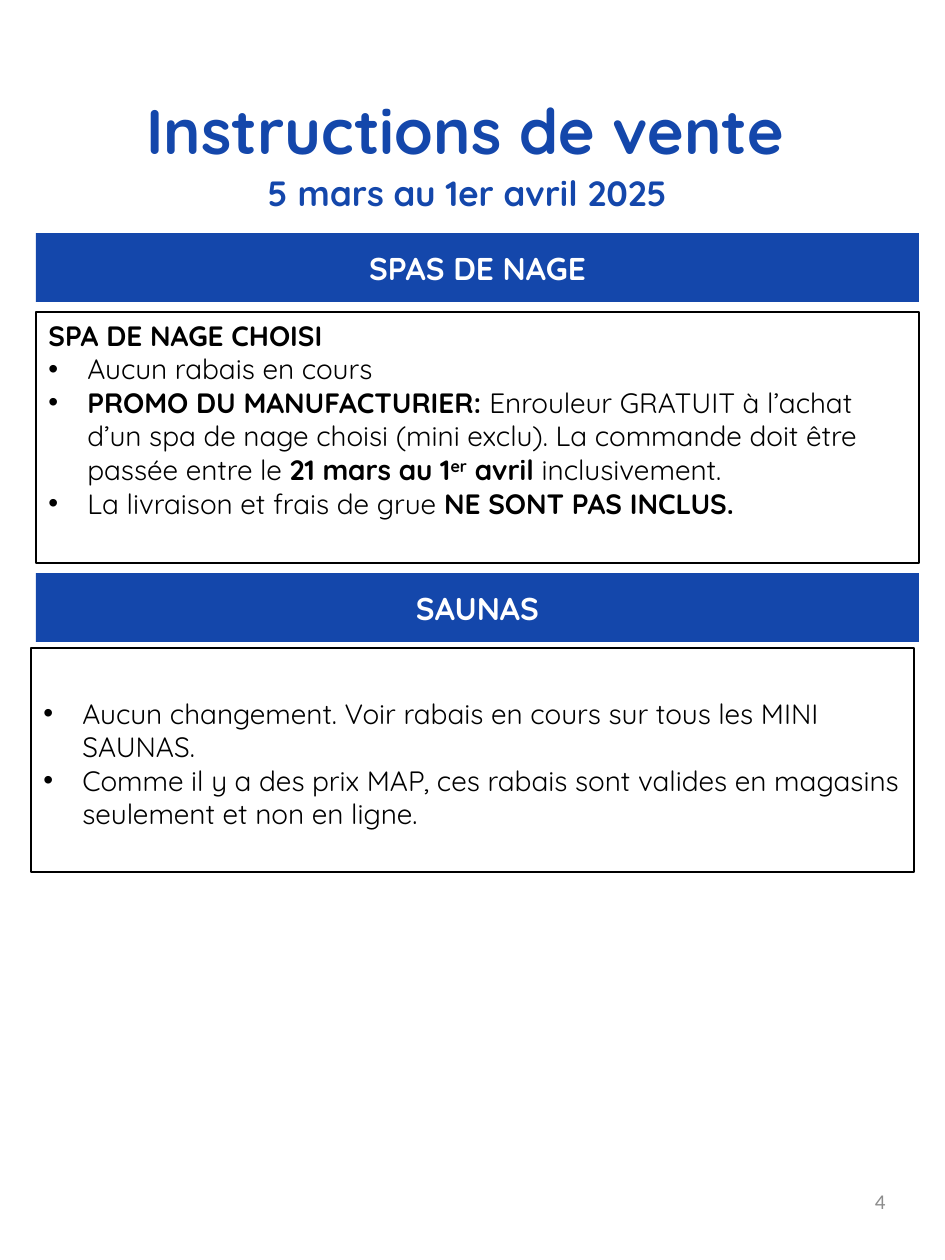
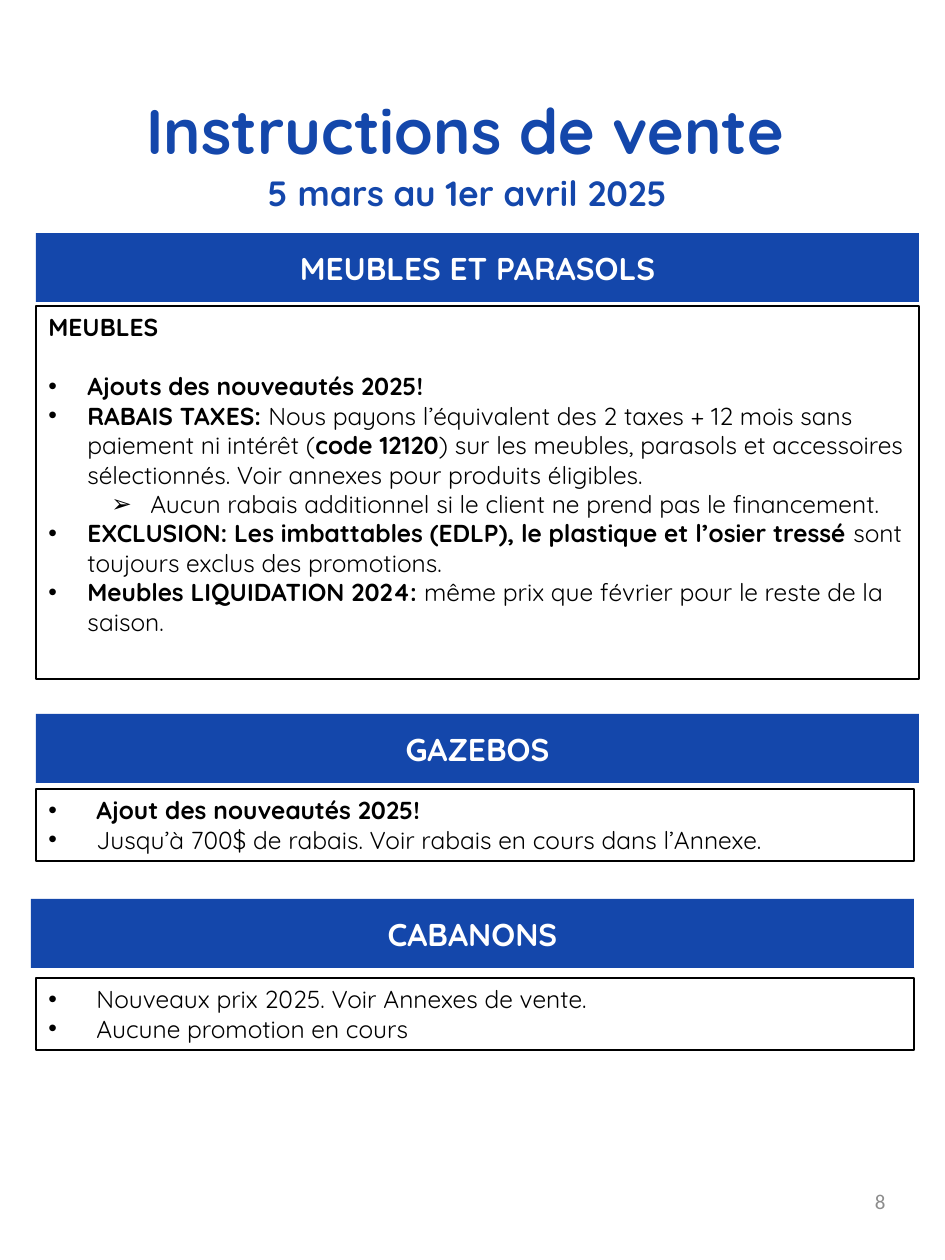
from lxml.etree import SubElement
from pptx import Presentation
from pptx.dml.color import RGBColor
from pptx.enum.shapes import MSO_SHAPE as Shape
from pptx.enum.text import MSO_ANCHOR as Anchor, PP_ALIGN as Align
from pptx.oxml.ns import qn
from pptx.util import Pt

PX = 914400 // 126  # EMU per px
BLUE = RGBColor(0x14, 0x47, 0xAB)
WHITE = RGBColor(0xFF, 0xFF, 0xFF)
BLACK = RGBColor(0, 0, 0)
GRAY = RGBColor(0x8C, 0x8C, 0x8C)
FONT, NUMBER_FONT, BULLET_FONT = "Quicksand", "Calibri", "Arial"

TITLE = "Instructions de vente"
PERIOD = "5 mars au 1er avril 2025"
WIDTH, BAND_HEIGHT = 883, 69
PLAIN, BOLD, SUPER = "plain", "bold", "super"

# Paragraph kinds: bullet, left margin, hanging indent (px), level
KINDS = {
    "head": (None, 0, 0, 0),
    "item": ("•", 39, 39, 0),
    "wide": ("•", 48, 48, 0),
    "sub": ("➢", 102, 39, 1),
}

# Each section: band (left, top), box (left, top, width, height), text size,
# and paragraphs as (kind, runs); "inset" pushes the text down in its box,
# "gap" is the space after a heading in points
SLIDES = [
    {"number": "4", "sections": [
        {"name": "SPAS DE NAGE", "band": (36, 233), "box": (36, 312, WIDTH, 251),
         "size": 16, "text": [
             ("head", [("SPA DE NAGE CHOISI", BOLD)]),
             ("item", [("Aucun rabais en cours", PLAIN)]),
             ("item", [("PROMO DU MANUFACTURIER: ", BOLD),
                       ("Enrouleur GRATUIT à l’achat d’un spa de nage choisi (mini exclu). "
                        "La commande doit être passée entre le ", PLAIN),
                       ("21 mars au 1", BOLD), ("er", SUPER), (" avril ", BOLD),
                       ("inclusivement.", PLAIN)]),
             ("item", [("La livraison et frais de grue ", PLAIN),
                       ("NE SONT PAS INCLUS.", BOLD)]),
         ]},
        {"name": "SAUNAS", "band": (36, 573), "box": (31, 648, WIDTH, 224),
         "size": 16, "inset": 48, "text": [
             ("item", [("Aucun changement. Voir rabais en cours sur tous les MINI SAUNAS.", PLAIN)]),
             ("item", [("Comme il y a des prix MAP, ces rabais sont valides en magasins "
                        "seulement et non en ligne.", PLAIN)]),
         ]},
    ]},
    {"number": "8", "sections": [
        {"name": "MEUBLES ET PARASOLS", "band": (36, 233), "box": (36, 306, WIDTH, 373),
         "size": 14, "gap": 17, "text": [
             ("head", [("MEUBLES", BOLD)]),
             ("item", [("Ajouts des nouveautés 2025!", BOLD)]),
             ("item", [("RABAIS TAXES: ", BOLD),
                       ("Nous payons l’équivalent des 2 taxes + 12 mois sans paiement "
                        "ni intérêt (", PLAIN),
                       ("code 12120", BOLD),
                       (") sur les meubles, parasols et accessoires sélectionnés. "
                        "Voir annexes pour produits éligibles.", PLAIN)]),
             ("sub", [("Aucun rabais additionnel si le client ne prend pas le "
                       "financement.", PLAIN)]),
             ("item", [("EXCLUSION: Les imbattables (EDLP), le plastique et l’osier tressé ", BOLD),
                       ("sont toujours exclus des promotions.", PLAIN)]),
             ("item", [("Meubles LIQUIDATION 2024: ", BOLD),
                       ("même prix que février pour le reste de la saison.", PLAIN)]),
         ]},
        {"name": "GAZEBOS", "band": (36, 714), "box": (36, 789, 878, 72),
         "size": 14, "text": [
             ("wide", [("Ajout des nouveautés 2025!", BOLD)]),
             ("wide", [("Jusqu’à 700$ de rabais. Voir rabais en cours dans l’Annexe.", PLAIN)]),
         ]},
        {"name": "CABANONS", "band": (31, 899), "box": (36, 978, 878, 72),
         "size": 14, "text": [
             ("wide", [("Nouveaux prix 2025. Voir Annexes de vente.", PLAIN)]),
             ("wide", [("Aucune promotion en cours", PLAIN)]),
         ]},
    ]},
]


def emu(*lengths):
    return [length * PX for length in lengths]


def add_run(paragraph, text, size, color, style=BOLD, font=FONT):
    run = paragraph.add_run()
    run.text = text
    run.font.name, run.font.size = font, Pt(size)
    run.font.bold = style != PLAIN
    run.font.color.rgb = color
    if style == SUPER:
        run.font._element.set("baseline", "30000")


def add_rectangle(slide, bounds, fill=None, line=None):
    shape = slide.shapes.add_shape(Shape.RECTANGLE, *emu(*bounds))
    shape.shadow.inherit = False
    if fill is None:
        shape.fill.background()
    else:
        shape.fill.solid()
        shape.fill.fore_color.rgb = fill
    if line is None:
        shape.line.fill.background()
    else:
        shape.line.color.rgb = line
        shape.line.width = Pt(0.75)
    shape.text_frame.word_wrap = True
    return shape


def add_label(slide, bounds, text, size, color):
    """Add a text box and return its frame and only paragraph."""
    frame = slide.shapes.add_textbox(*emu(*bounds)).text_frame
    frame.word_wrap = True
    paragraph = frame.paragraphs[0]
    font, style = (NUMBER_FONT, PLAIN) if color == GRAY else (FONT, BOLD)
    add_run(paragraph, text, size, color, style, font)
    return frame, paragraph


def format_paragraph(paragraph, kind):
    bullet, margin, hanging, level = KINDS[kind]
    paragraph.alignment = Align.LEFT
    paragraph.level = level
    if bullet:
        properties = paragraph._p.get_or_add_pPr()
        properties.set("marL", str(margin * PX))
        properties.set("indent", str(-hanging * PX))
        SubElement(properties, qn("a:buFont"), typeface=BULLET_FONT)
        SubElement(properties, qn("a:buChar"), char=bullet)


def add_section(slide, section):
    # Blue band
    band = add_rectangle(slide, (*section["band"], WIDTH, BAND_HEIGHT), fill=BLUE)
    band.text_frame.vertical_anchor = Anchor.MIDDLE
    paragraph = band.text_frame.paragraphs[0]
    paragraph.alignment = Align.CENTER
    add_run(paragraph, section["name"], 18, WHITE)

    # Outlined box of instructions
    frame = add_rectangle(slide, section["box"], line=BLACK).text_frame
    frame.vertical_anchor = Anchor.TOP
    if "inset" in section:
        frame.margin_top = section["inset"] * PX
    for index, (kind, runs) in enumerate(section["text"]):
        paragraph = frame.add_paragraph() if index else frame.paragraphs[0]
        format_paragraph(paragraph, kind)
        if kind == "head":
            paragraph.space_after = Pt(section.get("gap", 0))
        for text, style in runs:
            add_run(paragraph, text, section["size"], BLACK, style)


def add_frame(slide, number):
    # Title and period
    for bounds, text, size in (((40, 74, 850, 100), TITLE, 36),
                               ((165, 159, 605, 60), PERIOD, 20)):
        _, paragraph = add_label(slide, bounds, text, size, BLUE)
        paragraph.alignment = Align.CENTER
        paragraph.line_spacing = 1.15
        paragraph.space_after = Pt(10)

    # Page number
    frame, paragraph = add_label(slide, (678, 1168, 220, 67), number, 12, GRAY)
    frame.vertical_anchor = Anchor.MIDDLE
    paragraph.alignment = Align.RIGHT


def main():
    presentation = Presentation()
    presentation.slide_width, presentation.slide_height = emu(945, 1260)
    for content in SLIDES:
        slide = presentation.slides.add_slide(presentation.slide_layouts[6])
        add_frame(slide, content["number"])
        for section in content["sections"]:
            add_section(slide, section)
    presentation.save("out.pptx")


if __name__ == "__main__":
    main()
